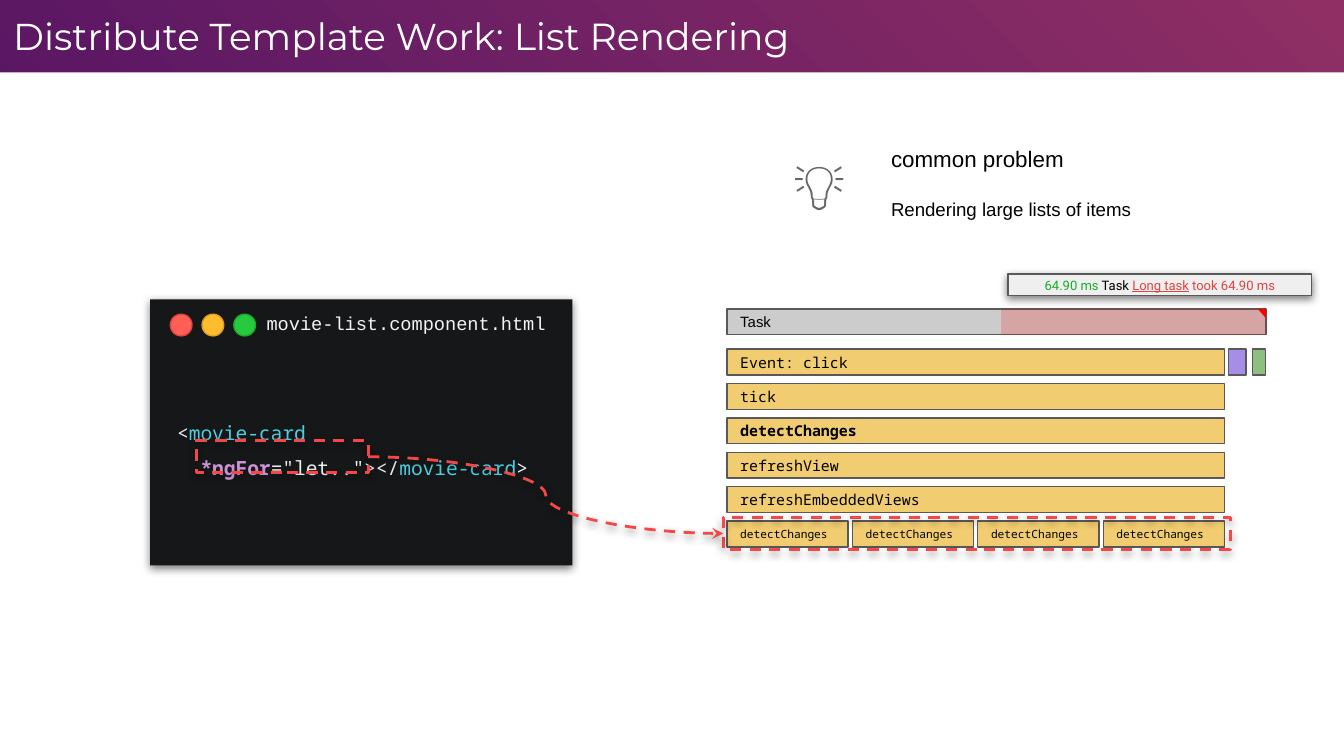
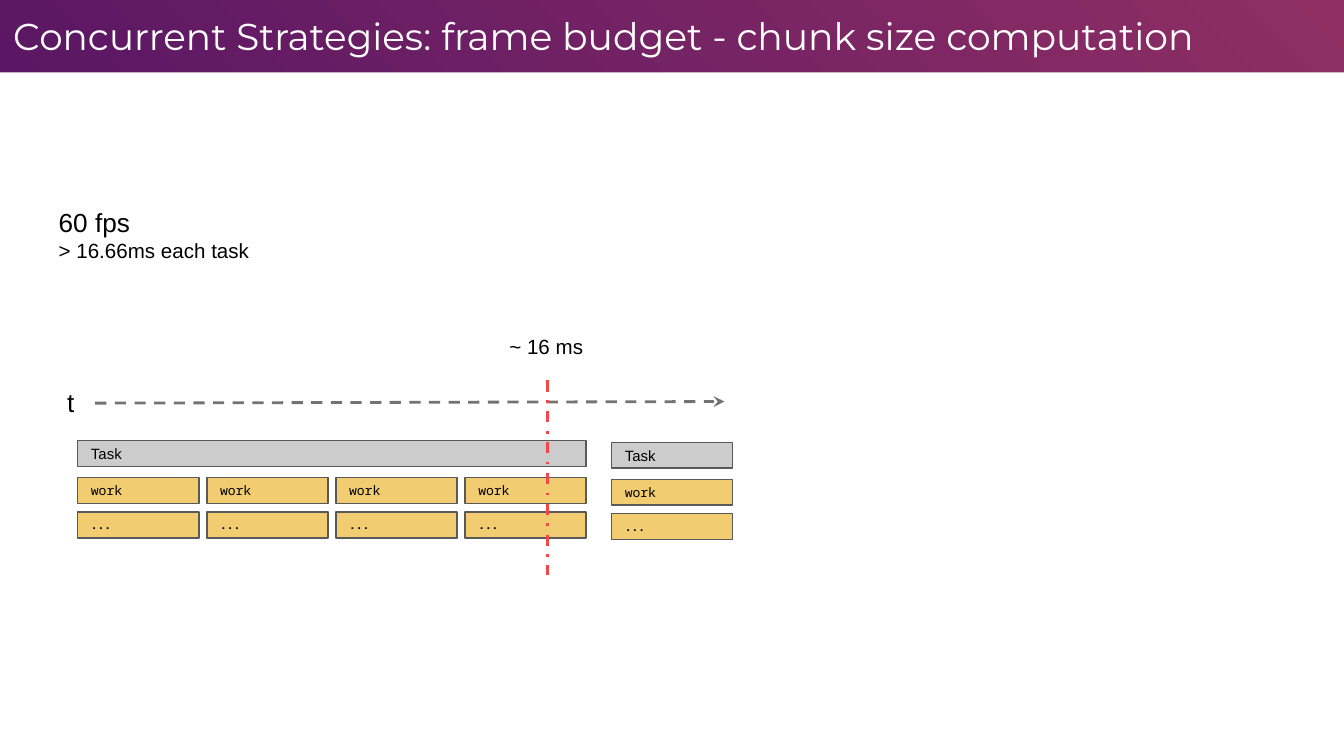
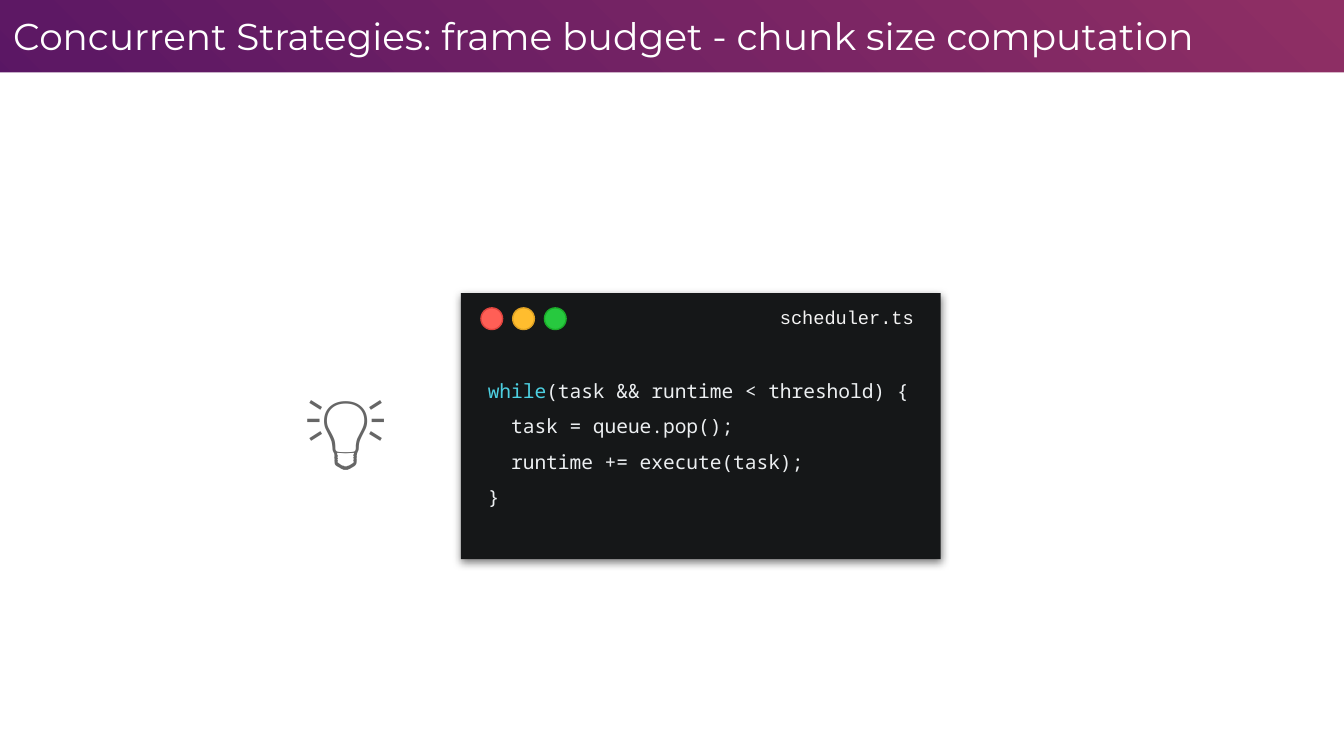
import lxml.etree
import pptx
import pptx.dml.color
import pptx.enum.dml
import pptx.enum.shapes
import pptx.enum.text
import pptx.oxml
import pptx.oxml.ns
import pptx.util

Cm, Pt = pptx.util.Cm, pptx.util.Pt
qn = pptx.oxml.ns.qn
SHAPE = pptx.enum.shapes.MSO_SHAPE
WIRE = pptx.enum.shapes.MSO_CONNECTOR
DASH = pptx.enum.dml.MSO_LINE
ALIGN = pptx.enum.text.PP_ALIGN
ANCHOR = pptx.enum.text.MSO_ANCHOR

# Shared style
HEX = {
    "white": "FFFFFF", "black": "000000", "edge": "595959", "grey": "CCCCCC",
    "bulb": "666666", "axis": "737373", "pale": "EFEFEF", "gold": "EFC457",
    "violet": "9B7FE6", "leaf": "74B266", "red": "FF0000", "mark": "F44747",
    "dark": "151718", "name": "F3F3F3", "code": "ECEFF1", "cyan": "4DD0E1",
    "pink": "CE93D8", "good": "1AAB29", "bad": "E0443E",
}
MONO = "Noto Sans Mono"
WIDTH, HEIGHT, BAND = 25.4, 14.29, 1.37
BAR = 0.49
PAD = (0.25, 0.25, 0.25, 0.25)
STOPS = [(0, "8F2F64"), (64, "5D1864"), (100, "2B0163")]
DOTS = [("FF5F56", "E0443E"), ("FFBD2E", "DEA123"), ("27C93F", "1AAB29")]

# Content: a run is a string or (text, colour, style)
LIST = ("Distribute Template Work: ", "List Rendering")
BUDGET = ("Concurrent Strategies: ", "frame budget - chunk size computation")
CALLS = ["Event: click", "tick", "detectChanges", "refreshView",
         "refreshEmbeddedViews"]
TIP = [("64.90 ms", "good", ""), " Task ", ("Long task", "bad", "u"),
       (" took 64.90 ms", "bad", "")]
MOVIE = [
    ["<", ("movie-card", "cyan", "")],
    ["  ", ("*ngFor", "pink", "b"), '="let.."></', ("movie-card", "cyan", ""), ">"],
]
LOOP = [
    [("while", "cyan", ""), "(task && runtime < threshold) {"],
    ["  task = queue.pop();"],
    ["  runtime += execute(task);"],
    ["}"],
]
TASKS = [(1.47, 8.33, 4), (11.56, 8.36, 1)]  # left, top, chunks


def rgb(name):
    return pptx.dml.color.RGBColor.from_string(HEX.get(name, name))


def write(shape, lines, size, font="Arial", colour="black", bold=None,
          align=ALIGN.LEFT, anchor=ANCHOR.TOP, pad=PAD, space=None):
    frame = shape.text_frame
    frame.word_wrap = True
    frame.auto_size = pptx.enum.text.MSO_AUTO_SIZE.NONE
    frame.vertical_anchor = anchor
    (frame.margin_left, frame.margin_top,
     frame.margin_right, frame.margin_bottom) = map(Cm, pad)
    for i, line in enumerate(lines):
        para = frame.add_paragraph() if i else frame.paragraphs[0]
        para.alignment, para.line_spacing = align, space
        para.font.size, para.font.name = Pt(size), font
        para.font.bold = bold
        para.font.color.rgb = rgb(colour)
        for part in line:
            text, tint, style = (part, None, "") if isinstance(part, str) else part
            run = para.add_run()
            run.text = text
            if tint:
                run.font.color.rgb = rgb(tint)
            if "b" in style:
                run.font.bold = True
            if "u" in style:
                run.font.underline = True
    return frame.paragraphs


def label(slide, at, lines, size, **look):
    return write(slide.shapes.add_textbox(*map(Cm, at)), lines, size, **look)


def shade(item, on):
    spot = lxml.etree.SubElement(item._element.spPr, qn("a:effectLst"))
    if on:
        drop = lxml.etree.SubElement(spot, qn("a:outerShdw"), blurRad="57150",
                                     dist="19050", dir="5400000", algn="bl",
                                     rotWithShape="0")
        tone = lxml.etree.SubElement(drop, qn("a:srgbClr"), val=HEX["black"])
        lxml.etree.SubElement(tone, qn("a:alpha"), val="50000")


def stroke(item, colour, width, dash=None):
    item.line.color.rgb = rgb(colour)
    item.line.width = Pt(width)
    if dash:
        item.line.dash_style = dash


def block(slide, at, fill=None, edge="edge", alpha=None, kind=SHAPE.RECTANGLE,
          width=0.75, dash=None, drop=False):
    shape = slide.shapes.add_shape(kind, *map(Cm, at))
    if fill:
        shape.fill.solid()
        shape.fill.fore_color.rgb = rgb(fill)
    else:
        shape.fill.background()
    if alpha:
        tone = shape._element.spPr.find(qn("a:solidFill"))[0]
        lxml.etree.SubElement(tone, qn("a:alpha"), val=str(alpha * 1000))
    if edge:
        stroke(shape, edge, width, dash)
    else:
        shape.line.fill.background()
    shade(shape, drop)
    return shape


def bar(slide, x, y, w, text, size=8, bold=None):
    shape = block(slide, (x, y, w, BAR), "gold", alpha=85)
    write(shape, [[text]], size, MONO, bold=bold, anchor=ANCHOR.MIDDLE)


def task(slide, x, y, w):
    shape = block(slide, (x, y, w, BAR), "grey")
    write(shape, [["Task"]], 8, anchor=ANCHOR.MIDDLE)


def frame(slide, at):
    return block(slide, at, edge="mark", width=1.5, dash=DASH.DASH, drop=True)


def wire(slide, kind, ends, colour, dash, arrow=False, drop=False, joins=None):
    line = slide.shapes.add_connector(kind, *map(Cm, ends))
    if joins:
        line.begin_connect(joins[0], 3)
        line.end_connect(joins[1], 1)
    stroke(line, colour, 1.5, dash)
    if arrow:
        lxml.etree.SubElement(line.line._get_or_add_ln(), qn("a:tailEnd"),
                              type="stealth")
    shade(line, drop)


def bulb(slide, at, size, align=ALIGN.LEFT):
    label(slide, at, [["💡"]], size, font="Karla", colour="bulb", bold=True,
          align=align)


def window(slide, x, y, w, name, code):
    block(slide, (x, y, w, 5.03), "dark", edge=None, drop=True)
    label(slide, (x, y + 0.72, w, 4.29), code, 10.5, font=MONO, colour="code",
          anchor=ANCHOR.MIDDLE, pad=(0.51, 0.25, 0.51, 0.51), space=1.5)
    for i, (fill, edge) in enumerate(DOTS):
        block(slide, (x + 0.38 + 0.6 * i, y + 0.28, 0.41, 0.41), fill, edge,
              kind=SHAPE.OVAL)
    label(slide, (x + 1.52, y - 0.05, w - 1.52, 0.99), [[name]], 10,
          font="Courier New", colour="name", align=ALIGN.RIGHT,
          anchor=ANCHOR.MIDDLE, pad=(0.25, 0.25, 0.51, 0.25))


def master(deck, slide):
    """Gradient behind a white page, leaving the title band open."""
    stops = "".join(f'<a:gs pos="{p * 1000}"><a:srgbClr val="{c}"/></a:gs>'
                    for p, c in STOPS)
    paint = pptx.oxml.parse_xml(
        f'<a:gradFill {pptx.oxml.ns.nsdecls("a")} rotWithShape="1">'
        f'<a:gsLst>{stops}</a:gsLst><a:path path="circle">'
        '<a:fillToRect l="100000" b="100000"/></a:path></a:gradFill>')
    base = deck.slide_master
    base.background.fill.solid()
    back = base._element.cSld.find(qn("p:bg")).find(qn("p:bgPr"))
    back.replace(back[0], paint)
    page = block(slide, (0, BAND, WIDTH, HEIGHT - BAND), "white", edge=None)
    base.shapes._spTree.insert(2, page._element)


def start(deck, title):
    slide = deck.slides.add_slide(deck.slide_layouts[5])
    head = slide.shapes.title
    head.left, head.top, head.width, head.height = map(Cm, (0, 0, 22.89, BAND))
    para = write(head, [title], 20, "Montserrat", "white")[0]
    para.runs[1].font.size = Pt(20.2)
    return slide


def listing(slide):
    # Flame chart
    left, top, full, step, gap = 13.74, 6.6, 9.4, 0.65, 0.08
    task(slide, left, 5.84, 10.19)
    block(slide, (18.92, 5.84, 5.01, BAR), "red", edge=None, alpha=19)
    flag = block(slide, (23.77, 5.84, 0.16, 0.18), "red", edge=None,
                 kind=SHAPE.RIGHT_TRIANGLE)
    flag.rotation = 180
    tip = block(slide, (19.05, 5.18, 5.74, 0.41), "pale", drop=True)
    write(tip, [TIP], 7, "Roboto", align=ALIGN.CENTER, anchor=ANCHOR.MIDDLE)
    block(slide, (23.22, top, 0.33, BAR), "violet", alpha=89)
    block(slide, (23.67, top, 0.25, BAR), "leaf", alpha=82)
    for i, call in enumerate(CALLS):
        bar(slide, left, top + i * step, full, call,
            bold=call == "detectChanges" or None)
    wide = (full - 3 * gap) / 4
    for i in range(4):
        bar(slide, left + i * (wide + gap), top + len(CALLS) * step, wide,
            "detectChanges", 6)

    # Problem statement
    bulb(slide, (14.48, 2.62, 2.01, 1.68), 27, ALIGN.CENTER)
    paras = label(slide, (16.59, 2.49, 5.59, 1.96),
                  [["common problem"], ["Rendering large lists of items"]], 12)
    paras[1].font.size = Pt(10)
    paras[1].space_before = Pt(14)

    # Code and its cost
    window(slide, 2.84, 5.66, 7.98, "movie-list.component.html", MOVIE)
    loop = frame(slide, (3.71, 8.33, 3.25, 0.61))
    cost = frame(slide, (13.67, 9.78, 9.58, 0.61))
    wire(slide, WIRE.CURVE, (6.96, 8.64, 13.67, 10.08), "mark", DASH.DASH,
         arrow=True, drop=True, joins=(loop, cost))


def budget(slide):
    # Time axis
    wire(slide, WIRE.STRAIGHT, (1.8, 7.62, 13.69, 7.59), "axis", DASH.DASH,
         arrow=True)
    label(slide, (1.02, 7.06, 0.56, 1.12), [["t"]], 14)
    label(slide, (8.99, 6.07, 2.67, 0.99), [["~ 16 ms"]], 11, align=ALIGN.CENTER)

    # Tasks cut into chunks
    wide, step = 2.29, 2.44
    for x, y, count in TASKS:
        task(slide, x, y, (count - 1) * step + wide)
        for i in range(count):
            bar(slide, x + i * step, y + 0.7, wide, "work", 7)
            bar(slide, x + i * step, y + 1.35, wide, "...", 6, True)

    # Frame rate and limit
    paras = label(slide, (0.86, 3.66, 9.68, 1.57),
                  [["60 fps"], ["> 16.66ms each task"]], 14)
    paras[1].font.size = Pt(11)
    wire(slide, WIRE.STRAIGHT, (10.34, 7.19, 10.34, 10.87), "mark", DASH.DASH_DOT)


def main():
    deck = pptx.Presentation()
    deck.slide_width, deck.slide_height = Cm(WIDTH), Cm(HEIGHT)
    first = start(deck, LIST)
    master(deck, first)
    listing(first)
    budget(start(deck, BUDGET))
    last = start(deck, BUDGET)
    window(last, 8.71, 5.54, 9.07, "scheduler.ts", LOOP)
    bulb(last, (5.51, 6.88, 2.39, 2.36), 43)
    deck.save("out.pptx")


if __name__ == "__main__":
    main()
